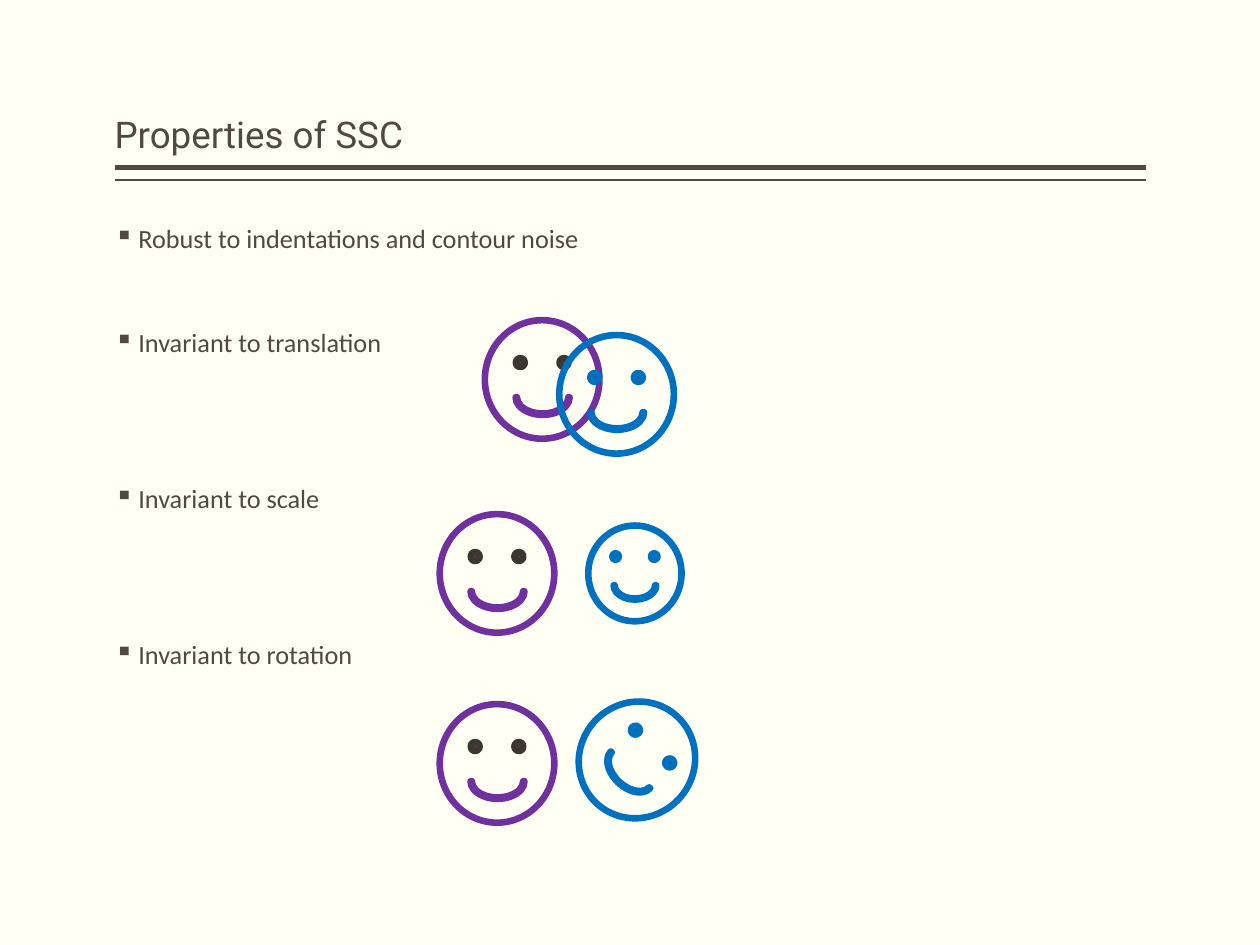
from lxml import etree
from pptx import Presentation
from pptx.dml.color import RGBColor
from pptx.enum.shapes import MSO_CONNECTOR, MSO_SHAPE
from pptx.enum.text import MSO_ANCHOR
from pptx.oxml.ns import qn
from pptx.util import Cm, Pt

STRAIGHT = MSO_CONNECTOR.STRAIGHT
OVAL, BLOCK_ARC = MSO_SHAPE.OVAL, MSO_SHAPE.BLOCK_ARC
TOP, BOTTOM = MSO_ANCHOR.TOP, MSO_ANCHOR.BOTTOM

COLORS = {
    "background": "FFFFF3",
    "text": "514843",
    "dark": "3C3532",
    "purple": "7030A0",
    "blue": "0070C0",
}

TITLE = "Properties of SSC"
# Text and space before in points
BULLETS = [
    ("Robust to indentations and contour noise", 0),
    ("Invariant to translation", 43.2),
    ("Invariant to scale", 72.9),
    ("Invariant to rotation", 72.9),
]

LEFT, WIDTH = 2.31, 20.8
RULES = [(3.38, 3), (3.63, 1)]  # height on the slide in cm, line width in points

# Sizes in cm; eye and mouth positions are offsets from the centre of the head
REGULAR = {
    "head": (2.31, 2.39), "eye": (0.18, 0.18), "mouth": (1.09, 0.71), "angle": 0,
    "eyes_at": [(-0.44, -0.34), (0.44, -0.34)], "mouth_at": (0.01, 0.36),
}
SMALL = {
    "head": (1.88, 1.93), "eye": (0.13, 0.13), "mouth": (0.86, 0.58), "angle": 0,
    "eyes_at": [(-0.39, -0.34), (0.39, -0.34)], "mouth_at": (0, 0.24),
}
TILTED = {
    **REGULAR, "angle": 43,
    "eyes_at": [(-0.03, -0.6), (0.66, 0.06)], "mouth_at": (-0.13, 0.2),
}

# Centre, form, outline colour, eye colour
FACES = [
    ((10.93, 7.65), REGULAR, "purple", "dark"),
    ((12.43, 7.95), REGULAR, "blue", "blue"),
    ((10.02, 11.56), REGULAR, "purple", "dark"),
    ((12.8, 11.56), SMALL, "blue", "blue"),
    ((10.02, 15.39), REGULAR, "purple", "dark"),
    ((12.84, 15.32), TILTED, "blue", "blue"),
]


def color(name):
    return RGBColor.from_string(COLORS[name])


def add_rule(slide, y, weight):
    rule = slide.shapes.add_connector(
        STRAIGHT, Cm(LEFT + WIDTH), Cm(y), Cm(LEFT), Cm(y))
    rule.line.color.rgb = color("text")
    rule.line.width = Pt(weight)
    etree.SubElement(rule._element.spPr, qn("a:effectLst"))


def add_text_box(slide, top, height, anchor):
    box = slide.shapes.add_textbox(Cm(LEFT), Cm(top), Cm(WIDTH), Cm(height))
    frame = box.text_frame
    frame.word_wrap = True
    frame.vertical_anchor = anchor
    frame.margin_left = frame.margin_right = 0
    frame.margin_top = frame.margin_bottom = Cm(0.1)
    return frame


def style_paragraph(para, font_name, size):
    para.line_spacing = 0.9
    para.font.name = font_name
    para.font.size = Pt(size)
    para.font.color.rgb = color("text")


def add_bullet(para):
    properties = para._p.get_or_add_pPr()
    properties.set("marL", str(Cm(0.48)))
    properties.set("indent", str(-Cm(0.48)))
    etree.SubElement(properties, qn("a:buChar"), char="▪")


def add_part(slide, kind, center, offset, size, angle, line_color, filled=True):
    """Place one outlined part of a face by the centre of the part."""
    left, top = (c + o - s / 2 for c, o, s in zip(center, offset, size))
    part = slide.shapes.add_shape(kind, Cm(left), Cm(top), Cm(size[0]), Cm(size[1]))
    part.shadow.inherit = False
    part.rotation = angle
    part.line.color.rgb = color(line_color)
    part.line.width = Pt(3.78)
    if filled:
        part.fill.solid()
        part.fill.fore_color.rgb = color("text")
    else:
        part.fill.background()
    return part


def add_face(slide, center, form, outline, eye_color):
    angle = form["angle"]
    add_part(slide, OVAL, center, (0, 0), form["head"], angle, outline, filled=False)
    for offset in form["eyes_at"]:
        add_part(slide, OVAL, center, offset, form["eye"], angle, eye_color)
    mouth = add_part(
        slide, BLOCK_ARC, center, form["mouth_at"], form["mouth"], angle, outline)
    for index, value in enumerate((108, 0, 0.039)):
        mouth.adjustments[index] = value
    mouth._element.spPr.find(qn("a:xfrm")).set("flipV", "1")


def main():
    deck = Presentation()
    deck.slide_width, deck.slide_height = Cm(25.4), Cm(19.05)
    slide = deck.slides.add_slide(deck.slide_layouts[6])
    slide.background.fill.solid()
    slide.background.fill.fore_color.rgb = color("background")

    for y, weight in RULES:
        add_rule(slide, y, weight)

    title = add_text_box(slide, 0.2, 3.05, BOTTOM)
    title.text = TITLE
    style_paragraph(title.paragraphs[0], "Roboto", 21)

    body = add_text_box(slide, 4.45, 12.7, TOP)
    body.text = "\n".join(text for text, _ in BULLETS)
    for para, (_, space) in zip(body.paragraphs, BULLETS):
        add_bullet(para)
        style_paragraph(para, "Calibri", 15)
        para.space_before = Pt(space)

    for face in FACES:
        add_face(slide, *face)

    deck.save("out.pptx")


if __name__ == "__main__":
    main()
